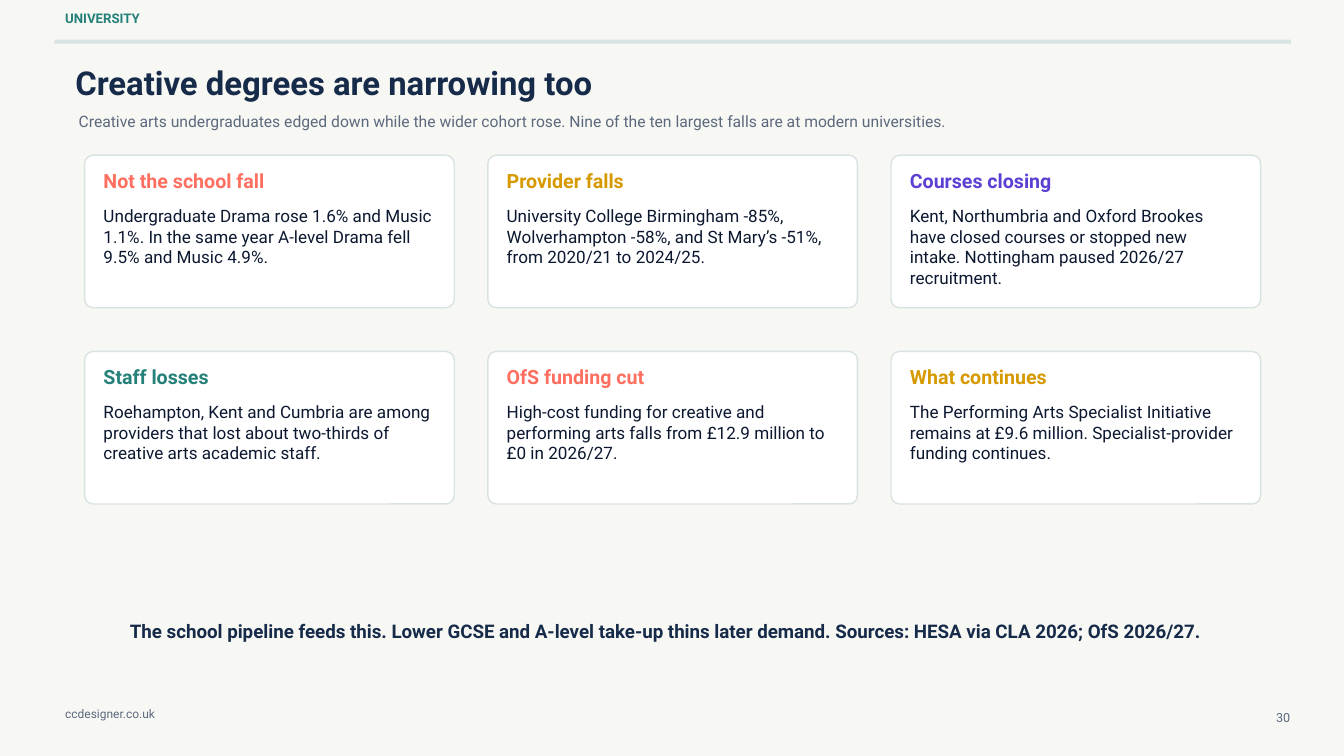
import pptx
import pptx.util
from pptx.dml.color import RGBColor
from pptx.enum.shapes import MSO_SHAPE
from pptx.enum.text import MSO_ANCHOR, MSO_AUTO_SIZE, PP_ALIGN
from pptx.util import Inches

COLORS = {
    "background": "F7F7F4",
    "rule": "D9E3E1",
    "card": "FFFFFF",
    "navy": "162A49",
    "ink": "0C1830",
    "gray": "5C697D",
    "teal": "248078",
    "coral": "FF6F5F",
    "gold": "D69A00",
    "violet": "5D3FD3",
}

# Size, line spacing, weight and alignment of each kind of text
FORMATS = {
    "section": {"size": 14.2, "leading": 17.1, "bold": True},
    "page": {"size": 13.5, "leading": 16.2, "alignment": PP_ALIGN.RIGHT},
    "footer": {"size": 12.8, "leading": 15.3},
    "title": {"size": 35.2, "leading": 42.3, "bold": True},
    "subtitle": {"size": 16.8, "leading": 20.1},
    "heading": {"size": 21, "leading": 25.2, "bold": True},
    "body": {"size": 18.3, "leading": 21.9},
    "takeaway": {"size": 20.1, "leading": 24.1, "bold": True, "alignment": PP_ALIGN.CENTER},
}


def write_text(text, kind, color, left, top, width, height, shape=None):
    """Place text in a new text box, or in the placeholder given."""
    if shape is None:
        shape = slide.shapes.add_textbox(0, 0, 0, 0)
    box = {"left": left, "top": top, "width": width, "height": height}
    for name, value in box.items():
        setattr(shape, name, Inches(value))

    frame = shape.text_frame
    frame_values = {
        "word_wrap": True,
        "auto_size": MSO_AUTO_SIZE.NONE,
        "vertical_anchor": MSO_ANCHOR.TOP,
        "margin_left": 0,
        "margin_top": 0,
        "margin_right": 0,
        "margin_bottom": 0,
    }
    for name, value in frame_values.items():
        setattr(frame, name, value)

    style = FORMATS[kind]
    paragraph = frame.paragraphs[0]
    paragraph.alignment = style.get("alignment", PP_ALIGN.LEFT)
    paragraph.line_spacing = pptx.util.Pt(style["leading"])
    run = paragraph.add_run()
    run.text = text
    font_values = {
        "name": "Roboto",
        "size": pptx.util.Pt(style["size"]),
        "bold": style.get("bold", False),
    }
    for name, value in font_values.items():
        setattr(run.font, name, value)
    run.font.color.rgb = RGBColor.from_string(COLORS[color])


def add_panel(preset, fill, left, top, width, height):
    """Add a filled shape without outline or shadow."""
    shape = slide.shapes.add_shape(
        preset, Inches(left), Inches(top), Inches(width), Inches(height))
    shape.shadow.inherit = False
    shape.fill.solid()
    shape.fill.fore_color.rgb = RGBColor.from_string(COLORS[fill])
    shape.line.fill.background()
    return shape


# Slide
presentation = pptx.Presentation()
presentation.slide_width = Inches(20)
presentation.slide_height = Inches(11.25)
slide = presentation.slides.add_slide(presentation.slide_layouts[5])
slide.background.fill.solid()
slide.background.fill.fore_color.rgb = RGBColor.from_string(COLORS["background"])

# Header and footer
add_panel(MSO_SHAPE.RECTANGLE, "rule", 0.81, 0.59, 18.4, 0.06)
write_text("UNIVERSITY", "section", "teal", 0.97, 0.15, 9.3, 0.36)
write_text("30", "page", "gray", 18.82, 10.56, 0.38, 0.31)
write_text("ccdesigner.co.uk", "footer", "gray", 0.97, 10.52, 3.3, 0.31)

# Title and subtitle
write_text("Creative degrees are narrowing too", "title", "navy",
           1.12, 0.93, 13.8, 0.72, shape=slide.shapes.title)
write_text("Creative arts undergraduates edged down while the wider cohort rose. "
           "Nine of the ten largest falls are at modern universities.",
           "subtitle", "gray", 1.17, 1.67, 17.25, 0.34)

# Cards in a grid of three columns and two rows
cards = [
    ("Not the school fall", "coral",
     "Undergraduate Drama rose 1.6% and Music 1.1%. "
     "In the same year A-level Drama fell 9.5% and Music 4.9%."),
    ("Provider falls", "gold",
     "University College Birmingham -85%, Wolverhampton -58%, "
     "and St Mary’s -51%, from 2020/21 to 2024/25."),
    ("Courses closing", "violet",
     "Kent, Northumbria and Oxford Brookes have closed courses or stopped new intake. "
     "Nottingham paused 2026/27 recruitment."),
    ("Staff losses", "teal",
     "Roehampton, Kent and Cumbria are among providers that lost "
     "about two-thirds of creative arts academic staff."),
    ("OfS funding cut", "coral",
     "High-cost funding for creative and performing arts falls "
     "from £12.9 million to £0 in 2026/27."),
    ("What continues", "gold",
     "The Performing Arts Specialist Initiative remains at £9.6 million. "
     "Specialist-provider funding continues."),
]
card_width, card_height, corner_radius = 5.5, 2.27, 0.125
for index, (heading, accent, body) in enumerate(cards):
    row, column = divmod(index, 3)
    left = 1.26 + 6 * column
    top = 2.31 + 2.92 * row
    card = add_panel(MSO_SHAPE.ROUNDED_RECTANGLE, "card", left, top, card_width, card_height)
    card.adjustments[0] = corner_radius / card_height
    card.line.color.rgb = RGBColor.from_string(COLORS["rule"])
    card.line.width = pptx.util.Pt(1.5)
    write_text(heading, "heading", accent, left + 0.28, top + 0.2, 4.93, 0.49)
    write_text(body, "body", "ink", left + 0.28, top + 0.75, 4.93, 1.41)

# Takeaway
write_text("The school pipeline feeds this. Lower GCSE and A-level take-up thins later demand. "
           "Sources: HESA via CLA 2026; OfS 2026/27.",
           "takeaway", "navy", 1.5, 9.23, 16.8, 0.58)

presentation.save("out.pptx")
